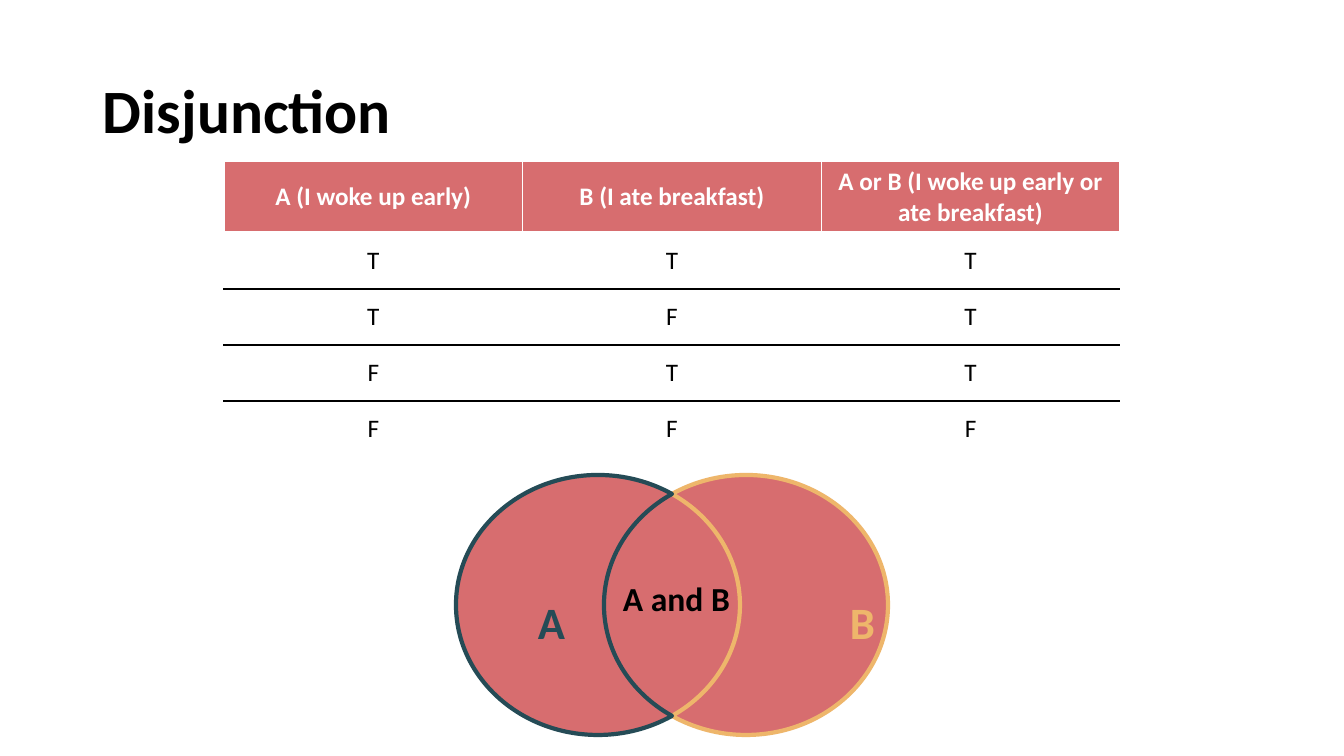
"""Builds the Disjunction slide: a truth table above a two-set Venn diagram."""
from itertools import pairwise
from math import acos, cos, pi, sin, tan

from lxml.etree import SubElement
from pptx import Presentation
from pptx.dml.color import RGBColor
from pptx.enum.text import MSO_ANCHOR, PP_ALIGN
from pptx.oxml.ns import qn
from pptx.util import Emu, Pt

SCALE = 914400 / 100.8
FONT = "Calibri"
BLACK = RGBColor(0x00, 0x00, 0x00)
WHITE = RGBColor(0xFF, 0xFF, 0xFF)
ROSE = RGBColor(0xD7, 0x6D, 0x6F)
TEAL = RGBColor(0x25, 0x4B, 0x56)
GOLD = RGBColor(0xEE, 0xB6, 0x6B)
BLUE = RGBColor(0x32, 0x54, 0x91)

TITLE = ("Disjunction", (93, 41, 1159, 146), 44, BLACK)
ROWS = [
    ("A (I woke up early)", "B (I ate breakfast)",
     "A or B (I woke up early or ate breakfast)"),
    ("T", "T", "T"),
    ("T", "F", "T"),
    ("F", "T", "T"),
    ("F", "F", "F"),
]
TABLE_BOX = (224, 161, 896, 296)
HEADER_H, ROW_H = 72, 56

LEFT_X, RIGHT_X, CENTER_Y = 598, 746, 605
RADIUS_X, RADIUS_Y = 142, 130
LABEL_BOTH = ("A and B", (608, 573, 137, 50), 24, BLACK)
LABEL_A = ("A", (528, 590, 54, 65), 32, TEAL)
LABEL_B = ("B", (840, 590, 54, 65), 32, GOLD)


def px(v):
    return Emu(round(v * SCALE))


def set_font(p, size, color, bold):
    p.font.name, p.font.size, p.font.bold = FONT, Pt(size), bold
    p.font.color.rgb = color


def add_text(slide, label, align=PP_ALIGN.LEFT, anchor=MSO_ANCHOR.TOP):
    text, box, size, color = label
    tf = slide.shapes.add_textbox(*map(px, box)).text_frame
    tf.word_wrap, tf.vertical_anchor = True, anchor
    p = tf.paragraphs[0]
    p.text, p.alignment = text, align
    set_font(p, size, color, True)
    return p


def set_borders(cell, top, bottom):
    tc_pr = cell._tc.get_or_add_tcPr()
    sides = (("L", (WHITE, 1)), ("R", (WHITE, 1)), ("T", top), ("B", bottom))
    for i, (side, (color, width)) in enumerate(sides):
        ln = SubElement(tc_pr, qn(f"a:ln{side}"), w=str(Pt(width)))
        fill = SubElement(ln, qn("a:solidFill"))
        SubElement(fill, qn("a:srgbClr"), val=str(color))
        tc_pr.insert(i, ln)


def add_truth_table(slide):
    table = slide.shapes.add_table(
        len(ROWS), len(ROWS[0]), *map(px, TABLE_BOX)).table
    rules = [(WHITE, 1), (WHITE, 3)] + [(BLACK, 1)] * 3 + [(WHITE, 1)]
    for r, row in enumerate(ROWS):
        header = r == 0
        table.rows[r].height = px(HEADER_H if header else ROW_H)
        for c, text in enumerate(row):
            cell = table.cell(r, c)
            cell.text, cell.vertical_anchor = text, MSO_ANCHOR.MIDDLE
            p = cell.text_frame.paragraphs[0]
            p.alignment = PP_ALIGN.CENTER
            set_font(p, 18, WHITE if header else BLACK, header)
            if header:
                cell.fill.solid()
                cell.fill.fore_color.rgb = ROSE
            else:
                cell.fill.background()
            set_borders(cell, rules[r], rules[r + 1])


def arc(center_x, *angles):
    """Return Bezier points along an ellipse through the given angles."""
    def point(a, pull=0):
        return (center_x + RADIUS_X * (cos(a) - pull * sin(a)),
                CENTER_Y + RADIUS_Y * (sin(a) + pull * cos(a)))

    points = [point(angles[0])]
    for a, b in pairwise(angles):
        pull = 4 / 3 * tan((b - a) / 4)
        points += [point(a, pull), point(b, -pull), point(b)]
    return points


def add_region(slide, points, color, width):
    scaled = [(px(x), px(y)) for x, y in points]
    builder = slide.shapes.build_freeform(*scaled[0])
    builder.add_line_segments(scaled[1:], close=True)
    sp = builder.convert_to_shape()
    lines = list(sp._element.iter(qn("a:lnTo")))
    for i in range(0, len(lines), 3):
        curve = SubElement(lines[i].getparent(), qn("a:cubicBezTo"))
        lines[i].addprevious(curve)
        for line in lines[i:i + 3]:
            curve.append(line[0])
            line.getparent().remove(line)
    sp.shadow.inherit = False
    sp.fill.solid()
    sp.fill.fore_color.rgb = ROSE
    sp.line.color.rgb, sp.line.width = color, Pt(width)


def add_venn(slide):
    cross = acos((RIGHT_X - LEFT_X) / 2 / RADIUS_X)
    lens_right = arc(LEFT_X, -cross, 0, cross)
    lens_left = arc(RIGHT_X, pi - cross, pi, pi + cross)
    right_outer = arc(RIGHT_X, cross - pi, -pi / 2, 0, pi / 2, pi - cross)
    left_outer = arc(LEFT_X, cross, pi / 2, pi, 3 * pi / 2, 2 * pi - cross)
    add_region(slide, lens_right + lens_left[1:], BLUE, 1)
    add_text(slide, LABEL_BOTH, PP_ALIGN.CENTER)
    add_region(slide, right_outer + lens_right[-2::-1], GOLD, 3)
    add_region(slide, left_outer + lens_left[-2::-1], TEAL, 3)
    add_text(slide, LABEL_A)
    add_text(slide, LABEL_B)


def main():
    prs = Presentation()
    prs.slide_width, prs.slide_height = px(1344), px(756)
    slide = prs.slides.add_slide(prs.slide_layouts[6])
    add_text(slide, TITLE, anchor=MSO_ANCHOR.MIDDLE).line_spacing = 0.9
    add_truth_table(slide)
    add_venn(slide)
    prs.save("out.pptx")


if __name__ == "__main__":
    main()
